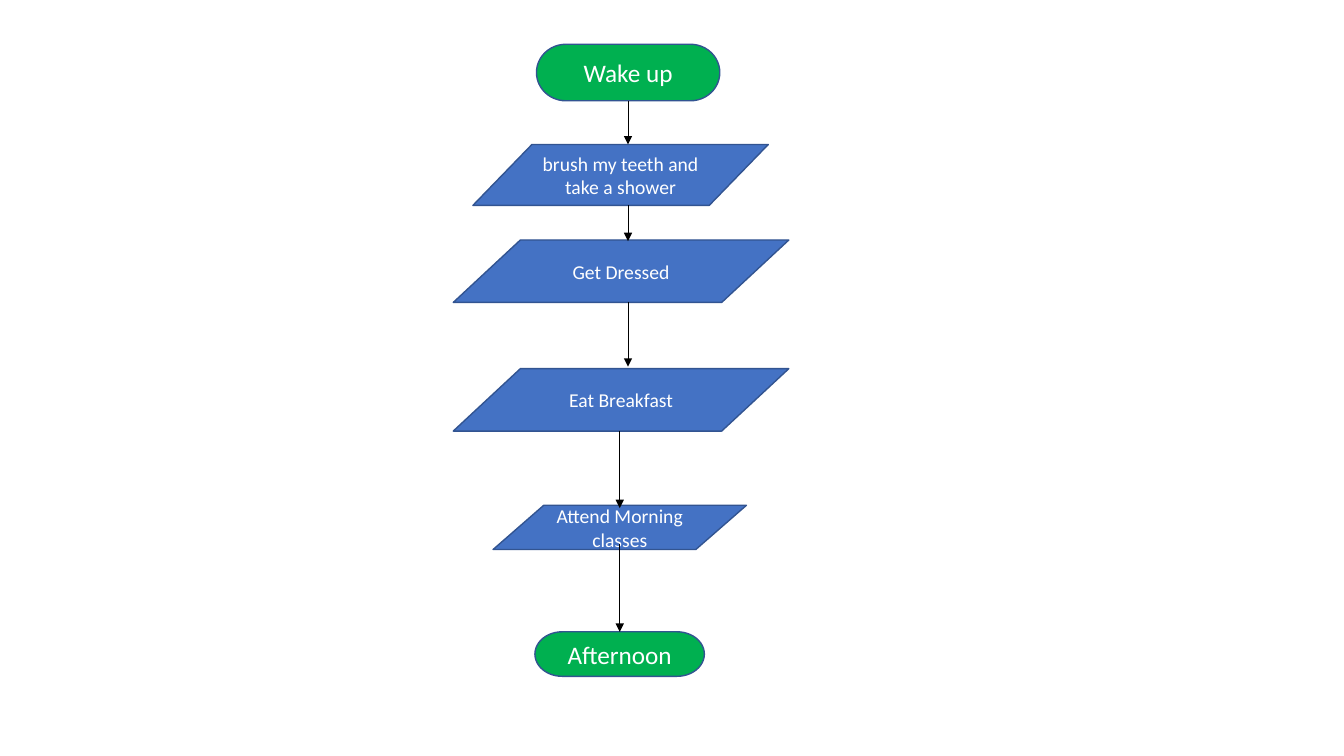
from lxml import etree
from pptx import Presentation
from pptx.dml.color import RGBColor
from pptx.enum.shapes import MSO_CONNECTOR, MSO_SHAPE
from pptx.enum.text import MSO_ANCHOR, PP_ALIGN
from pptx.oxml.ns import qn
from pptx.util import Pt

TERMINATOR = MSO_SHAPE.FLOWCHART_TERMINATOR
ACTIVITY = MSO_SHAPE.FLOWCHART_DATA
STRAIGHT = MSO_CONNECTOR.STRAIGHT
MIDDLE = MSO_ANCHOR.MIDDLE
CENTER = PP_ALIGN.CENTER

GREEN = RGBColor(0x00, 0xB0, 0x50)
BLUE = RGBColor(0x44, 0x72, 0xC4)
OUTLINE = RGBColor(0x32, 0x54, 0x91)
BLACK = RGBColor(0x00, 0x00, 0x00)
WHITE = RGBColor(0xFF, 0xFF, 0xFF)
FONT = "Calibri"

STYLES = {TERMINATOR: (GREEN, 18), ACTIVITY: (BLUE, 14)}

ROUTINE = [
    ("Wake up", TERMINATOR, 383.2, 31.6, 131, 40.4),
    ("brush my teeth and take a shower", ACTIVITY, 337.8, 103.2, 211, 43.5),
    ("Get Dressed", ACTIVITY, 323.8, 171.4, 239.7, 44.6),
    ("Eat Breakfast", ACTIVITY, 323.8, 263.3, 239.7, 44.6),
    ("Attend Morning classes", ACTIVITY, 352.2, 360.9, 181, 31.6),
    ("Afternoon", TERMINATOR, 382.1, 451.3, 121, 31.8),
]

UPPER_X, LOWER_X = 448.6, 442.7
# (x, offset from the step above, offset from the step below)
ARROWS = [
    (UPPER_X, 0, 0),
    (UPPER_X, 0, 0.8),
    (UPPER_X, 0, -1.4),
    (LOWER_X, 0, 2),
    (LOWER_X, -3.7, 0),
]


def add_step(slide, text, outline, left, top, width, height):
    fill, size = STYLES[outline]
    step = slide.shapes.add_shape(outline, Pt(left), Pt(top), Pt(width), Pt(height))
    step.shadow.inherit = False
    step.fill.solid()
    step.fill.fore_color.rgb = fill
    step.line.color.rgb = OUTLINE
    step.line.width = Pt(1)
    frame = step.text_frame
    frame.word_wrap = True
    frame.vertical_anchor = MIDDLE
    paragraph = frame.paragraphs[0]
    paragraph.alignment = CENTER
    run = paragraph.add_run()
    run.text = text
    run.font.name = FONT
    run.font.size = Pt(size)
    run.font.color.rgb = WHITE


def add_arrow(slide, x, start, end):
    arrow = slide.shapes.add_connector(STRAIGHT, Pt(x), Pt(start), Pt(x), Pt(end))
    arrow.line.color.rgb = BLACK
    arrow.line.width = Pt(0.5)
    etree.SubElement(arrow.line._get_or_add_ln(), qn("a:tailEnd"), type="triangle")
    etree.SubElement(arrow._element.spPr, qn("a:effectLst"))


def main():
    deck = Presentation()
    deck.slide_width, deck.slide_height = Pt(960), Pt(540)
    slide = deck.slides.add_slide(deck.slide_layouts[6])
    for step in ROUTINE:
        add_step(slide, *step)
    for above, below, (x, lead, reach) in zip(ROUTINE, ROUTINE[1:], ARROWS):
        above_bottom = above[3] + above[5]
        add_arrow(slide, x, above_bottom + lead, below[3] + reach)
    deck.save("out.pptx")


if __name__ == "__main__":
    main()
